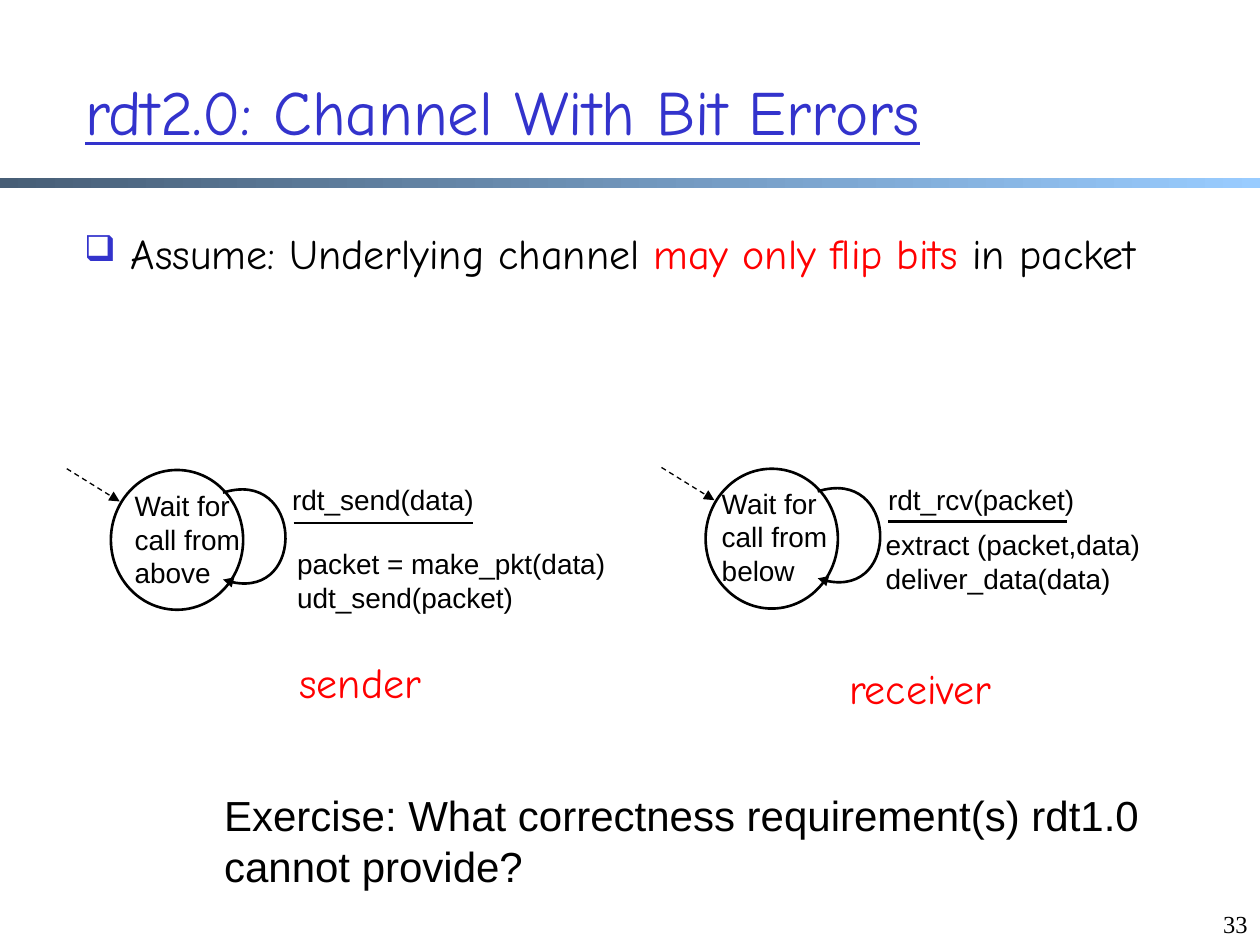
import pptx
import pptx.util
import pptx.dml.color
import pptx.enum.dml
import pptx.enum.shapes
import pptx.enum.text
from pptx.oxml.ns import qn
from lxml import etree

INK = {"black": "000000", "white": "FFFFFF", "blue": "3333CC", "red": "FF0000",
       "dark": "475E76", "pale": "99CCFF"}
SANS, COMIC, SERIF = "Arial", "Comic Neue", "Times New Roman"
WIDE, HIGH = 10, 7.5

TITLE = "rdt2.0: Channel With Bit Errors"
CLAIM = [("Assume: Underlying channel ", "black"), ("may only flip bits", "red"),
         (" in packet", "black")]
TASK = "Exercise: What correctness requirement(s) rdt1.0\vcannot provide?"
PAGE = "33"

# Boxes are left, top, width, height, measured from the corner of the state's circle.
STATES = [
    {"at": (0.88, 3.73),
     "state": ("Wait for call from above", (0.09, 0.1, 1.2, 1)),
     "event": ("rdt_send(data)", (1.34, 0.05, 2.47, 0.47)),
     "action": ("packet = make_pkt(data)\nudt_send(packet)", (1.38, 0.56, 2.93, 0.65)),
     "role": ("sender", (1.4, 1.43, 1.26, 0.5))},
    {"at": (5.6, 3.72),
     "state": ("Wait for call from below", (0.03, 0.09, 1.2, 1)),
     "event": ("rdt_rcv(packet)", (1.35, 0.06, 1.69, 0.37)),
     "action": ("extract (packet,data)\ndeliver_data(data)", (1.33, 0.42, 2.72, 0.47)),
     "role": ("receiver", (1.04, 1.49, 1.49, 0.5))},
]
CIRCLE = (1.05, 1.11)
LOOP = [(0.89, 0.18), (1.52, -0.02), (1.56, 1.1), (0.89, 0.87)]
START = [(-0.35, -0.01), (0.07, 0.25)]
RULE = [(1.45, 0.42), (2.87, 0.42)]


def inch(*nums):
    return [pptx.util.Inches(n) for n in nums]


def tint(name):
    return pptx.dml.color.RGBColor.from_string(INK[name])


def style(font, size, face, color="black"):
    font.size, font.name = pptx.util.Pt(size), face
    font.color.rgb = tint(color)


def write(shapes, text, box, size, face, color="black", wrap=True):
    frame = shapes.add_textbox(*inch(*box)).text_frame
    frame.word_wrap = wrap
    frame.text = text
    for para in frame.paragraphs:
        for run in para.runs:
            style(run.font, size, face, color)
    return frame


def pen(shape, width, arrow=False):
    """Draw the outline in black, with a triangle at its end if asked."""
    shape.line.color.rgb = tint("black")
    shape.line.width = pptx.util.Pt(width)
    if arrow:
        etree.SubElement(shape.line._get_or_add_ln(), qn("a:tailEnd"), type="triangle")


def join(shapes, ends, width):
    line = shapes.add_connector(pptx.enum.shapes.MSO_CONNECTOR.STRAIGHT,
                                *inch(*ends[0], *ends[1]))
    pen(line, width)
    etree.SubElement(line._element.spPr, qn("a:effectLst"))
    return line


def curve(shapes, spots):
    """Build an open outline and turn its three segments into one Bezier curve."""
    spots = [inch(*spot) for spot in spots]
    form = shapes.build_freeform(*spots[0], scale=1.0)
    form.add_line_segments(spots[1:], close=False)
    shape = form.convert_to_shape()
    shape.shadow.inherit = False
    shape.fill.background()
    track = shape._element.spPr.find(".//" + qn("a:path"))
    bend = etree.SubElement(track, qn("a:cubicBezTo"))
    for step in track.findall(qn("a:lnTo")):
        bend.append(step[0])
        track.remove(step)
    pen(shape, 1.5, arrow=True)


def machine(slide, data):
    shapes = slide.shapes.add_group_shape().shapes
    left, top = data["at"]

    def move(spots):
        return [(left + x, top + y) for x, y in spots]

    def label(key, size=16, face=SANS, color="black", wrap=True):
        text, (x, y, w, h) = data[key]
        write(shapes, text, (left + x, top + y, w, h), size, face, color, wrap)

    ring = shapes.add_shape(pptx.enum.shapes.MSO_SHAPE.OVAL, *inch(left, top, *CIRCLE))
    ring.shadow.inherit = False
    ring.fill.solid()
    ring.fill.fore_color.rgb = tint("white")
    pen(ring, 1.5)
    label("state")
    curve(shapes, move(LOOP))
    label("action")
    label("event")
    join(shapes, move(RULE), 1.5)
    entry = join(shapes, move(START), 0.75)
    entry.line.dash_style = pptx.enum.dml.MSO_LINE.DASH
    pen(entry, 0.75, arrow=True)
    label("role", 24, COMIC, "red", wrap=False)


def band(slide):
    bar = slide.shapes.add_shape(pptx.enum.shapes.MSO_SHAPE.RECTANGLE,
                                 *inch(0, 1.41, WIDE, 0.08))
    bar.shadow.inherit = False
    bar.line.fill.background()
    bar.fill.gradient()
    bar.fill.gradient_angle = 0
    for stop, name in zip(bar.fill.gradient_stops, ("dark", "pale")):
        stop.color.rgb = tint(name)


def claim(slide):
    frame = write(slide.shapes, "", (0.57, 1.76, 9.18, 0.6), 24, COMIC)
    para = frame.paragraphs[0]
    props = para._p.get_or_add_pPr()
    hang = pptx.util.Inches(0.37)
    props.set("marL", str(hang))
    props.set("indent", str(-hang))
    tone = etree.SubElement(props, qn("a:buClr"))
    etree.SubElement(tone, qn("a:srgbClr"), val=INK["blue"])
    etree.SubElement(props, qn("a:buSzPct"), val="85000")
    etree.SubElement(props, qn("a:buChar"), char="❑")
    for text, color in CLAIM:
        run = para.add_run()
        run.text = text
        style(run.font, 24, COMIC, color)


def main():
    deck = pptx.Presentation()
    deck.slide_width, deck.slide_height = inch(WIDE, HIGH)
    slide = deck.slides.add_slide(deck.slide_layouts[6])
    band(slide)

    page = write(slide.shapes, PAGE, (7.67, 7, 2.33, 0.5), 14, SERIF)
    page.vertical_anchor = pptx.enum.text.MSO_ANCHOR.BOTTOM
    page.paragraphs[0].alignment = pptx.enum.text.PP_ALIGN.RIGHT

    title = write(slide.shapes, TITLE, (0.58, 0.25, 8.75, 1.25), 36, COMIC, "blue")
    title.vertical_anchor = pptx.enum.text.MSO_ANCHOR.MIDDLE
    title.paragraphs[0].runs[0].font.underline = True

    claim(slide)
    for data in STATES:
        machine(slide, data)
    write(slide.shapes, TASK, (1.68, 6.22, 7.54, 0.91), 24, SANS, wrap=False)
    deck.save("out.pptx")


if __name__ == "__main__":
    main()
